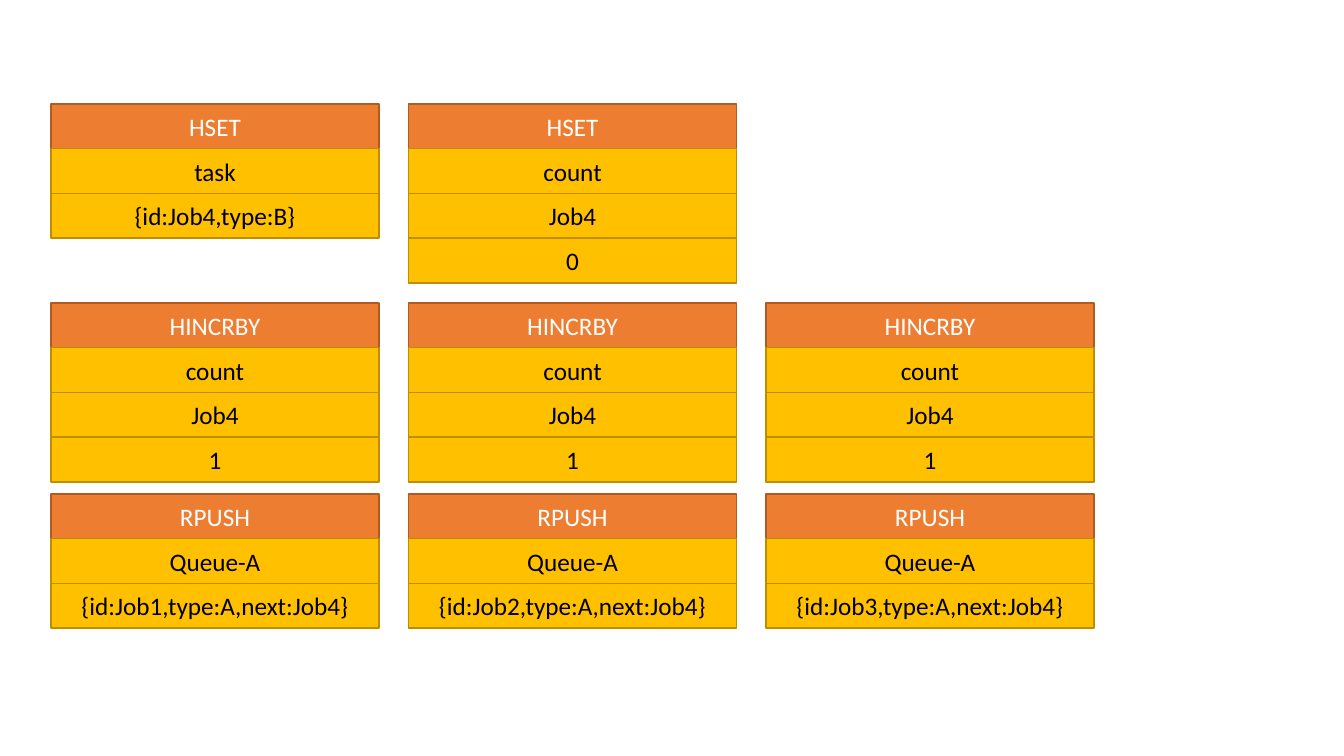
import pptx
import pptx.dml.color
import pptx.enum.shapes
import pptx.enum.text
import pptx.util

EMU_PER_PIXEL = 914400 / 100.8
SLIDE_WIDTH, SLIDE_HEIGHT = 1344, 756
CARD_WIDTH = 328
HEADER_COLORS = ("ED7D31", "AF5C24", "FFFFFF")
ARGUMENT_COLORS = ("FFC000", "BD8E00", "000000")

# Each band: top, card height, and the commands with their arguments.
COMMAND_BANDS = [
    (104, 179, [["HSET", "task", "{id:Job4,type:B}"],
                ["HSET", "count", "Job4", "0"]]),
    (303, 179, [["HINCRBY", "count", "Job4", "1"]] * 3),
    (494, 179, [["RPUSH", "Queue-A", f"{{id:Job{job},type:A,next:Job4}}"]
                for job in (1, 2, 3)]),
]


def emu(pixels):
    """Turn pixels into EMU."""
    return pptx.util.Emu(round(pixels * EMU_PER_PIXEL))


def color(hex_string):
    """Turn a hex string into a colour."""
    return pptx.dml.color.RGBColor.from_string(hex_string)


def add_cell(slide, box, text, colors):
    """Draw one outlined rectangle with centred text."""
    fill_color, line_color, text_color = colors
    shape = slide.shapes.add_shape(
        pptx.enum.shapes.MSO_SHAPE.RECTANGLE, *map(emu, box))
    shape.shadow.inherit = False
    shape.fill.solid()
    shape.fill.fore_color.rgb = color(fill_color)
    shape.line.color.rgb = color(line_color)
    shape.line.width = pptx.util.Pt(1)
    shape.text_frame.word_wrap = True
    shape.text_frame.vertical_anchor = pptx.enum.text.MSO_ANCHOR.MIDDLE
    paragraph = shape.text_frame.paragraphs[0]
    paragraph.alignment = pptx.enum.text.PP_ALIGN.CENTER
    run = paragraph.add_run()
    run.text = text
    run.font.name = "Calibri"
    run.font.size = pptx.util.Pt(18)
    run.font.color.rgb = color(text_color)


def add_command_card(slide, box, command):
    """Stack a command name and its arguments on a four-row grid."""
    left, top, width, height = box
    row_height = height / 4
    for row, text in enumerate(command):
        colors = ARGUMENT_COLORS if row else HEADER_COLORS
        cell_box = (left, top + row * row_height, width, row_height)
        add_cell(slide, cell_box, text, colors)


def add_command_band(slide, box, commands):
    """Place command cards from the left on a three-column grid."""
    left, top, width, height = box
    column_pitch = (width - CARD_WIDTH) / 2
    for column, command in enumerate(commands):
        card_box = (left + column * column_pitch, top, CARD_WIDTH, height)
        add_command_card(slide, card_box, command)


def main():
    """Build the slide of queue commands and save it."""
    presentation = pptx.Presentation()
    presentation.slide_width = emu(SLIDE_WIDTH)
    presentation.slide_height = emu(SLIDE_HEIGHT)
    slide = presentation.slides.add_slide(presentation.slide_layouts[6])
    for top, height, commands in COMMAND_BANDS:
        add_command_band(slide, (51, top, 1043, height), commands)
    presentation.save("out.pptx")


main()
